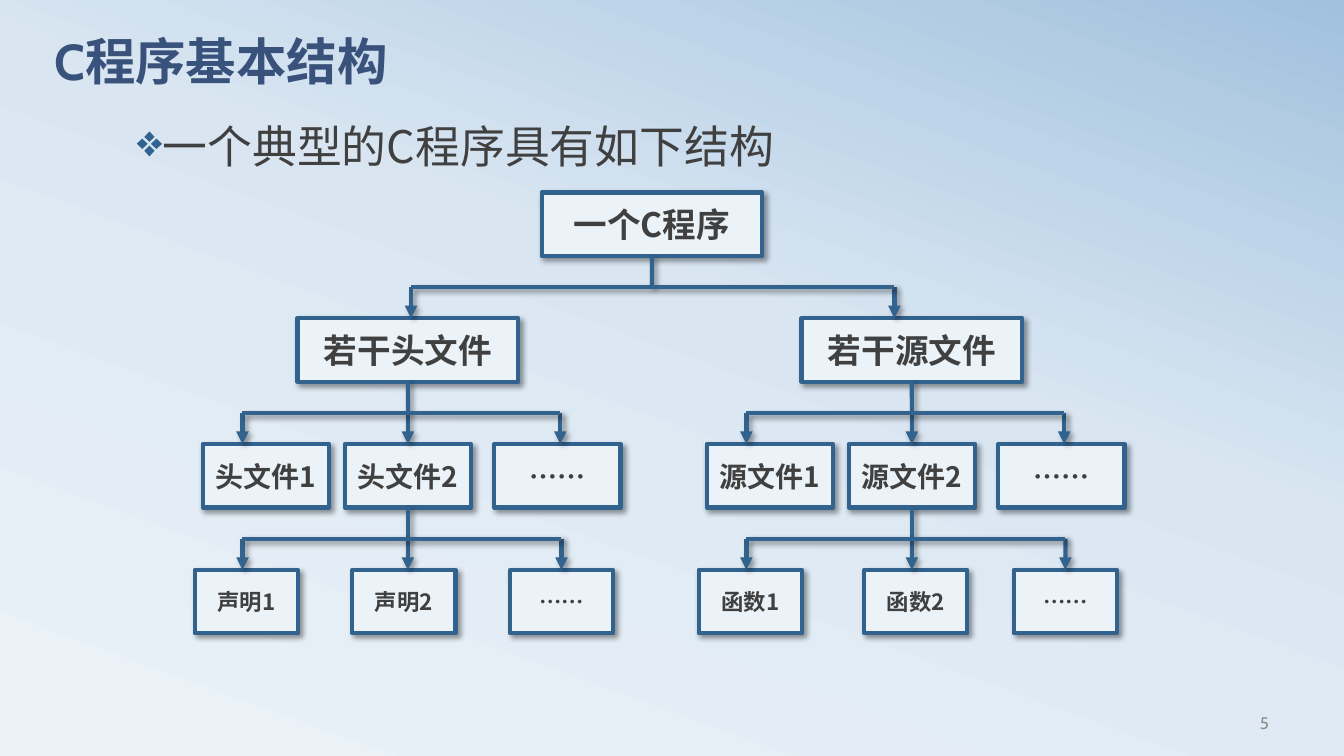
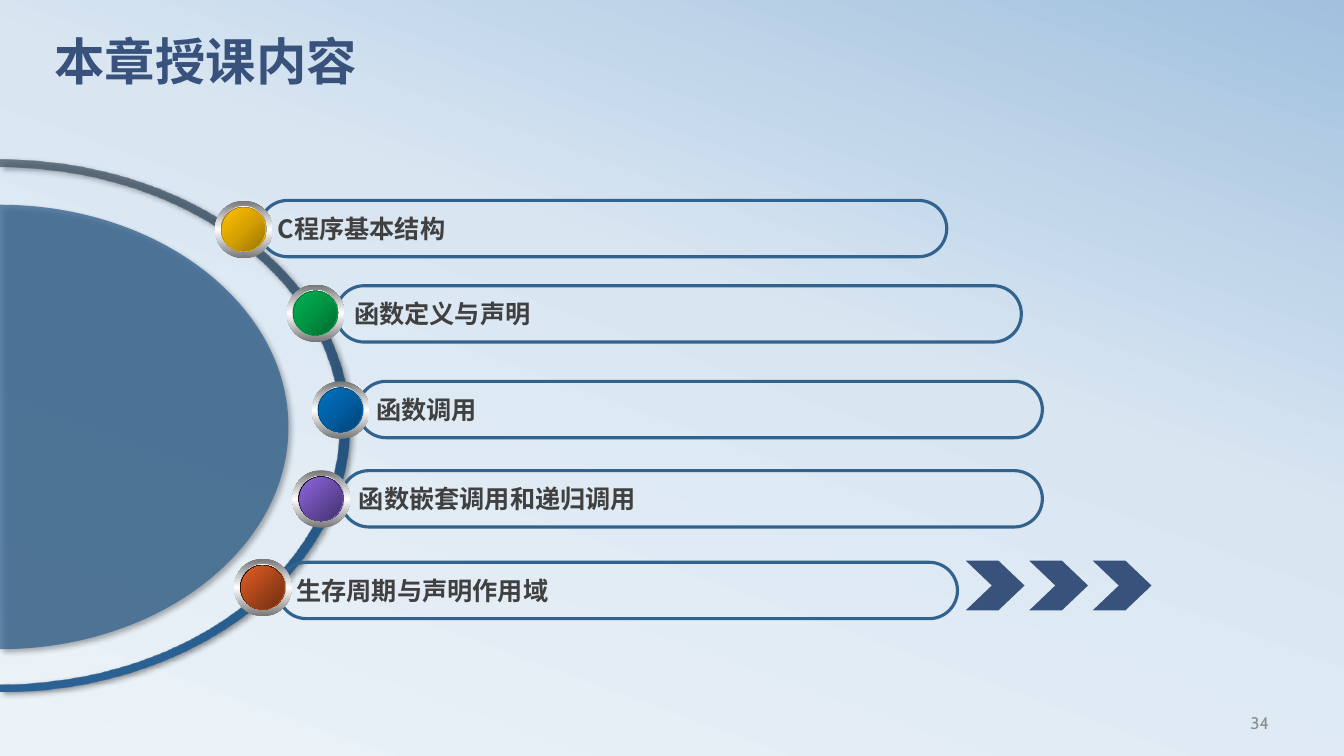
import dataclasses
import typing

import lxml.etree
import pptx
import pptx.dml.color
import pptx.enum.shapes
import pptx.enum.text
import pptx.oxml.ns
import pptx.util

Cm = pptx.util.Cm
Pt = pptx.util.Pt
qn = pptx.oxml.ns.qn
KIND = pptx.enum.shapes.MSO_SHAPE
ALIGN = pptx.enum.text.PP_ALIGN
ANCHOR = pptx.enum.text.MSO_ANCHOR
FIT = pptx.enum.text.MSO_AUTO_SIZE

HEAD, BODY, SIGNS = "Cabin", "Noto Sans CJK SC", "OpenSymbol"
NAVY, BLUE, PALE, INK, GREY = "39527B", "32628E", "ECF3F8", "404040", "8C8C8C"

MIDDLE = {"vertical_anchor": ANCHOR.MIDDLE, "word_wrap": True}
ONE_LINE = {"vertical_anchor": ANCHOR.MIDDLE, "word_wrap": False}
TOP_TEXT = {"vertical_anchor": ANCHOR.TOP, "word_wrap": True, "auto_size": FIT.NONE}

TREE_TOP, ROW_STEP, BOX_HIGH = 4.85, 3.17, 1.6
SIDE_STEP = 12.7
NEAR = 0.05
BOW = 0.55  # handle length that bends a curve into a quarter ellipse

Point = tuple[float, float]


class Stop(typing.NamedTuple):
    place: int
    colour: str
    alpha: int = 100


@dataclasses.dataclass
class Level:
    """One row of the tree."""
    row: int
    wide: float
    size: int


@dataclasses.dataclass
class Node:
    left: float
    text: str
    level: Level
    shape: typing.Any = None

    @property
    def top(self) -> float:
        return TREE_TOP + ROW_STEP * self.level.row

    @property
    def mid(self) -> float:
        return self.left + self.level.wide / 2


@dataclasses.dataclass
class Topic:
    """A pill with its bead, sharing one row."""
    text: str
    left: float
    top: float
    wide: float
    bead_left: float
    bead_top: float
    rim: tuple[str, ...]
    core: tuple[str, ...]


ROOT, GROUP, FILE, PART = Level(0, 5.56, 24), Level(1, 5.56, 24), Level(2, 3.18, 20), Level(3, 2.6, 16)

GOLD = ("977200", "D7A200", "FFC000")
GREEN = ("00682F", "009443", "00B050")
AZURE = ("004272", "005EA2", "0070C0")
TOPICS = [
    Topic("生存周期与声明作用域", 7.01, 14.17, 17.12, 5.9, 14.08,
          ("000000", "E35E23"), ("E35E23", "6E2E11")),
    Topic("函数嵌套调用和递归调用", 8.59, 11.86, 17.68, 7.37, 11.85,
          ("000000", "8D67E1"), ("8D67E1", "45326D")),
    Topic("函数调用", 9.02, 9.61, 17.25, 7.86, 9.61, AZURE, AZURE[::-1]),
    Topic("函数定义与声明", 8.47, 7.2, 17.27, 7.23, 7.17, GREEN, GREEN[::-1]),
    Topic("C程序基本结构", 6.54, 5.05, 17.32, 5.42, 5.06, GOLD, GOLD[::-1]),
]


def hue(code: str) -> pptx.dml.color.RGBColor:
    return pptx.dml.color.RGBColor.from_string(code)


def apply(item: typing.Any, values: dict[str, typing.Any]) -> None:
    for name, value in values.items():
        setattr(item, name, value)


def add_node(parent: typing.Any, tag: str, **values: typing.Any) -> typing.Any:
    return lxml.etree.SubElement(parent, qn(tag), {k: str(v) for k, v in values.items()})


def write(shape: typing.Any, text: str, size: int, colour: str, face: str = BODY,
          bold: bool = False, frame: dict = MIDDLE, para: dict | None = None) -> None:
    apply(shape.text_frame, frame)
    line = shape.text_frame.paragraphs[0]
    line.text = text
    apply(line, para or {})
    font = line.runs[0].font
    apply(font, {"size": Pt(size), "bold": bold, "name": face})
    font.color.rgb = hue(colour)
    for props in shape.element.iter(qn("a:rPr")):
        add_node(props, "a:ea", typeface=BODY)


def fade(owner: typing.Any, root: typing.Any, stops: typing.Iterable[Stop], angle: int) -> None:
    """Give owner a linear gradient; the angle runs clockwise."""
    owner.fill.gradient()
    grad = next(root.iter(qn("a:gradFill")))
    steps = grad.find(qn("a:gsLst"))
    for old in list(steps):
        steps.remove(old)
    for stop in stops:
        step = add_node(steps, "a:gs", pos=stop.place * 1000)
        tint = add_node(step, "a:srgbClr", val=stop.colour)
        if stop.alpha < 100:
            add_node(tint, "a:alpha", val=stop.alpha * 1000)
    grad.find(qn("a:lin")).set("ang", str(angle * 60000))


def spread(colours: tuple[str, ...]) -> list[Stop]:
    """Place the colours at equal gaps."""
    return [Stop(round(100 * i / (len(colours) - 1)), c) for i, c in enumerate(colours)]


def paint(shape: typing.Any, colour: str | None, edge: float = 0) -> None:
    """Set a flat fill and an outline; None or 0 leaves it out."""
    shape.shadow.inherit = False
    if colour:
        shape.fill.solid()
        shape.fill.fore_color.rgb = hue(colour)
    else:
        shape.fill.background()
    if edge:
        draw_edge(shape, edge)
    else:
        shape.line.fill.background()


def draw_edge(shape: typing.Any, edge: float) -> None:
    shape.line.width = Pt(edge)
    shape.line.color.rgb = hue(BLUE)


def cast(shape: typing.Any) -> None:
    """Add the soft drop shadow."""
    props = shape.element.spPr
    effects = props.find(qn("a:effectLst"))
    if effects is None:
        effects = add_node(props, "a:effectLst")
    shade = add_node(effects, "a:outerShdw", blurRad=Pt(4), dist=Pt(3),
                     dir=45 * 60000, algn="tl", rotWithShape=0)
    add_node(add_node(shade, "a:srgbClr", val="000000"), "a:alpha", val=40000)


def add_form(shapes: typing.Any, kind: typing.Any, left: float, top: float,
             wide: float, high: float) -> typing.Any:
    return shapes.add_shape(kind, Cm(left), Cm(top), Cm(wide), Cm(high))


def start_slide(deck: typing.Any, title: str, number: int) -> typing.Any:
    slide = deck.slides.add_slide(deck.slide_layouts[5])
    head = slide.shapes.title
    apply(head, {"left": Cm(1.12), "top": Cm(0.93), "width": Cm(30.48), "height": Cm(2.39)})
    write(head, title, 36, NAVY, HEAD, True, TOP_TEXT,
          {"alignment": ALIGN.LEFT, "line_spacing": 0.8})
    foot = slide.shapes.add_textbox(Cm(24.33), Cm(17.7), Cm(7.9), Cm(1.02))
    write(foot, str(number), 12, GREY, HEAD, para={"alignment": ALIGN.RIGHT})
    return slide


def add_bullet(slide: typing.Any, text: str) -> None:
    box = slide.shapes.add_textbox(Cm(3.2), Cm(3.02), Cm(19.02), Cm(1.83))
    write(box, text, 32, INK, frame=TOP_TEXT,
          para={"line_spacing": 0.9, "space_before": Pt(18)})
    props = next(box.element.iter(qn("a:pPr")))
    indent = Pt(18)
    props.set("marL", str(indent))
    props.set("indent", str(-indent))
    add_node(add_node(props, "a:buClr"), "a:srgbClr", val=BLUE)
    add_node(props, "a:buFont", typeface=SIGNS)
    add_node(props, "a:buChar", char="❖")


def add_box(slide: typing.Any, node: Node) -> None:
    level = node.level
    box = add_form(slide.shapes, KIND.RECTANGLE, node.left, node.top, level.wide, BOX_HIGH)
    paint(box, PALE, 3)
    cast(box)
    write(box, node.text, level.size, INK, bold=True, para={"alignment": ALIGN.CENTER})
    node.shape = box


def add_link(slide: typing.Any, start: Point, end: Point, source: Node | None = None,
             target: Node | None = None, arrow: bool = False) -> None:
    link = slide.shapes.add_connector(pptx.enum.shapes.MSO_CONNECTOR.STRAIGHT,
                                      *(Cm(v) for v in start + end))
    if source:
        link.begin_connect(source.shape, 2)
    if target:
        link.end_connect(target.shape, 0)
    draw_edge(link, 3)
    if arrow:
        add_node(link.element.spPr.find(qn("a:ln")), "a:tailEnd", type="triangle")
    cast(link)


def add_branch(slide: typing.Any, source: Node, targets: list[Node],
               drops: typing.Iterable[float]) -> None:
    """Join a node to its children by a trunk, a bar and one arrow per child."""
    base = source.top + BOX_HIGH
    bar = (base + targets[0].top) / 2
    add_link(slide, (source.mid, base), (source.mid, bar), source=source)
    ends = []
    for node, drop in zip(targets, drops):
        joined = abs(node.mid - drop) <= NEAR
        x = node.mid if joined else drop
        ends.append(x)
        add_link(slide, (x, bar), (x, node.top), target=node if joined else None, arrow=True)
    add_link(slide, (min(ends), bar), (max(ends), bar))


def build_tree(deck: typing.Any) -> None:
    slide = start_slide(deck, "C程序基本结构", 5)
    add_bullet(slide, "一个典型的C程序具有如下结构")
    root = Node(13.65, "一个C程序", ROOT)
    nodes, groups = [root], []
    branches = [(root, groups, (10.36, 22.54))]
    for side, (kind, item, nudge) in enumerate((("头文件", "声明", 0), ("源文件", "函数", 0.2))):
        shift = side * SIDE_STEP
        group = Node(7.5 + shift, f"若干{kind}", GROUP)
        files = [Node(x + shift, text, FILE) for x, text in
                 zip((5.11, 8.69, 12.46), (f"{kind}1", f"{kind}2", "……"))]
        parts = [Node(x + shift, text, PART) for x, text in
                 zip((4.91, 8.88 + nudge, 12.85), (f"{item}1", f"{item}2", "……"))]
        drops = [x + shift for x in (6.11, 10.28, 14.12)]
        branches += [(group, files, drops), (files[1], parts, drops)]
        groups.append(group)
        nodes += [group, *files, *parts]
    for node in sorted(nodes, key=lambda n: n.level.row):
        add_box(slide, node)
    for branch in branches:
        add_branch(slide, *branch)


def curve(start: Point, turn: Point, end: Point) -> list[Point]:
    """Give the two handles and the end of a quarter ellipse around a corner."""
    handles = [tuple(p + (t - p) * BOW for p, t in zip(point, turn)) for point in (start, end)]
    return [*handles, end]


def bend(wide: float, high: float, mid: float) -> list[Point]:
    """Trace the right half of an ellipse centred on the left edge, start included."""
    start, side, end = (0, mid - high), (wide, mid), (0, mid + high)
    return [start, *curve(start, (wide, mid - high), side), *curve(side, (wide, mid + high), end)]


def add_outline(slide: typing.Any, points: list[Point], moves: str) -> typing.Any:
    """Draw an outline; each C in moves takes three points, each L takes one."""
    spots = [(Cm(x), Cm(y)) for x, y in points]
    pen = slide.shapes.build_freeform(*spots[0])
    pen.add_line_segments(spots[1:], close=True)
    form = pen.convert_to_shape()
    lines = iter(list(form.element.spPr.iter(qn("a:lnTo"))))
    for move in moves:
        first = next(lines)
        if move == "C":
            first.tag = qn("a:cubicBezTo")
            for line in (next(lines), next(lines)):
                first.append(line[0])
                line.getparent().remove(line)
    paint(form, BLUE)
    cast(form)
    return form


def add_bead(slide: typing.Any, topic: Topic) -> None:
    shapes = slide.shapes.add_group_shape().shapes
    layers = (
        (0, 1.45, 1.45, ("767676", "FFFFFF", "767676"), 90),
        (0.14, 1.17, 1.14, ("A2A2A2", "FFFFFF", "A2A2A2"), 0),
        (0.16, 1.12, 1.12, topic.rim, 45),
        (0.18, 1.07, 1.09, topic.core, 45),
    )
    for inset, wide, high, colours, angle in layers:
        disc = add_form(shapes, KIND.OVAL, topic.bead_left + inset,
                        topic.bead_top + inset, wide, high)
        paint(disc, None)
        fade(disc, disc.element.spPr, spread(colours), angle)


def build_topics(deck: typing.Any) -> None:
    slide = start_slide(deck, "本章授课内容", 34)
    ring = add_outline(slide, bend(8.8, 6.7, 10.72) + bend(8.54, 6.5, 10.72)[::-1], "CCLCC")
    fade(ring, ring.element.spPr,
         [Stop(0, "445462", 75), Stop(50, "24537D"), Stop(100, "2B6295")], 90)
    dome = add_outline(slide, bend(7.27, 5.6, 10.76), "CC")
    add_node(next(dome.element.spPr.iter(qn("a:srgbClr"))), "a:alpha", val=75000)
    for topic in TOPICS:
        pill = add_form(slide.shapes, KIND.ROUNDED_RECTANGLE, topic.left, topic.top,
                        topic.wide, 1.42)
        pill.adjustments[0] = 0.5
        paint(pill, None, 2.25)
        write(pill, topic.text, 18, INK, bold=True, frame=ONE_LINE,
              para={"alignment": ALIGN.LEFT})
    for topic in TOPICS:
        add_bead(slide, topic)
    marks = slide.shapes.add_group_shape().shapes
    for i in range(3):
        mark = add_form(marks, KIND.CHEVRON, 24.34 + 1.6 * i, 14.13, 1.48, 1.25)
        mark.adjustments[0] = 0.525
        paint(mark, NAVY)


def main() -> None:
    deck = pptx.Presentation()
    apply(deck, {"slide_width": Cm(33.87), "slide_height": Cm(19.05)})
    master = deck.slide_master
    fade(master.background, master.element,
         [Stop(0, PALE), Stop(58, "D9E6F2"), Stop(100, "A1C1DE")], 290)
    build_tree(deck)
    build_topics(deck)
    deck.save("out.pptx")


if __name__ == "__main__":
    main()
